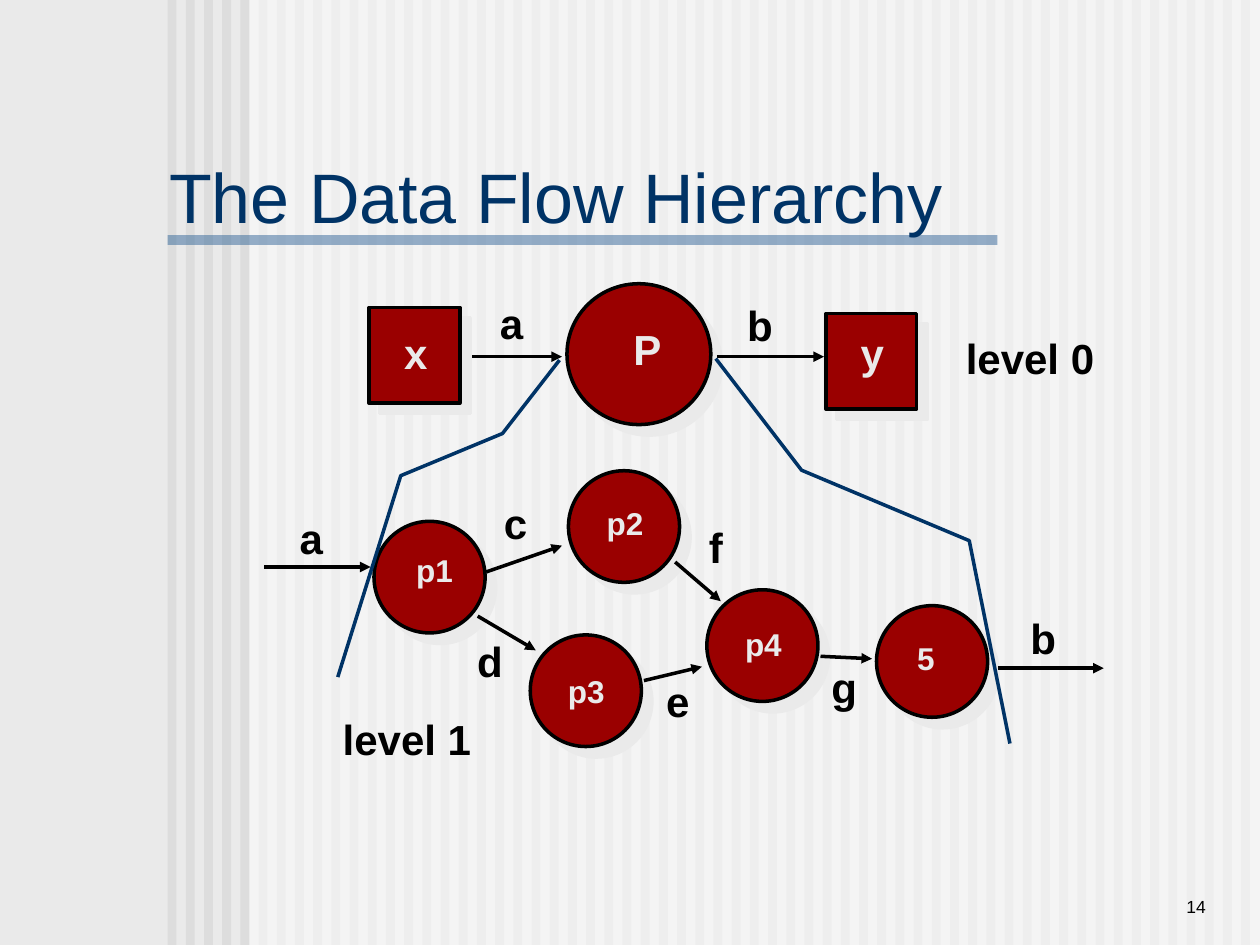
from lxml import etree
from pptx import Presentation
from pptx.dml.color import RGBColor
from pptx.enum.shapes import MSO_CONNECTOR, MSO_SHAPE
from pptx.enum.text import MSO_ANCHOR, MSO_AUTO_SIZE, PP_ALIGN
from pptx.oxml import parse_xml
from pptx.oxml.ns import qn
from pptx.util import Cm, Pt

RECTANGLE, OVAL = MSO_SHAPE.RECTANGLE, MSO_SHAPE.OVAL
STRAIGHT = MSO_CONNECTOR.STRAIGHT
TOP, MIDDLE, BOTTOM = MSO_ANCHOR.TOP, MSO_ANCHOR.MIDDLE, MSO_ANCHOR.BOTTOM
LEFT, RIGHT = PP_ALIGN.LEFT, PP_ALIGN.RIGHT
GROW, FIXED = MSO_AUTO_SIZE.SHAPE_TO_FIT_TEXT, MSO_AUTO_SIZE.NONE

BLACK, PALE, RED, NAVY = "000000", "EAEAEA", "9A0000", "003366"
LINE_WIDTH = Pt(2)
NODE_SHADOW = (
    '<a:outerShdw xmlns:a="http://schemas.openxmlformats.org/drawingml/2006/main"'
    ' dist="107950" dir="2700000" algn="ctr" rotWithShape="0">'
    f'<a:srgbClr val="{PALE}"/></a:outerShdw>'
)


def paint(fill, colour, opacity=100):
    """Make a fill of a shape, line or font solid; opacity is in percent."""
    fill.solid()
    fill.fore_color.rgb = RGBColor.from_string(colour)
    if opacity < 100:
        colour_node = fill._xPr.find(qn("a:solidFill"))[0]
        etree.SubElement(colour_node, qn("a:alpha"), val=str(opacity * 1000))


def add_text(text, left, top, width, height, size, colour, bold=True,
             wrap=False, anchor=TOP, align=LEFT):
    box = slide.shapes.add_textbox(Cm(left), Cm(top), Cm(width), Cm(height))
    frame = box.text_frame
    frame.word_wrap = wrap
    frame.auto_size = FIXED if wrap else GROW
    frame.vertical_anchor = anchor
    paragraph = frame.paragraphs[0]
    paragraph.alignment = align
    run = paragraph.add_run()
    run.text = text
    run.font.name = "Arial"
    run.font.size = Pt(size)
    run.font.bold = bold
    paint(run.font.fill, colour)
    return box


prs = Presentation()
prs.slide_width, prs.slide_height = Cm(25.4), Cm(19.05)
slide = prs.slides.add_slide(prs.slide_layouts[6])
paint(slide.background.fill, PALE)

# Striped backdrop, the veil over it and the bar under the title
stripe_count, first_stripe, last_stripe = 60, 3.38, 25.02
stripe_step = (last_stripe - first_stripe) / (stripe_count - 1)
backdrop = [(first_stripe + i * stripe_step, 0, 0.18, 19.05, "DDDDDD", 100)
            for i in range(stripe_count)]
backdrop += [(5.03, 0, 20.37, 19.05, "FFFFFF", 50),
             (3.38, 4.74, 16.73, 0.2, "336699", 50)]
for left, top, width, height, colour, opacity in backdrop:
    band = slide.shapes.add_shape(RECTANGLE, Cm(left), Cm(top), Cm(width), Cm(height))
    band.shadow.inherit = False
    band.line.fill.background()
    paint(band.fill, colour, opacity)

add_text("The Data Flow Hierarchy", 3.16, 3.16, 19.1, 1.55, 40, NAVY,
         bold=False, wrap=True, anchor=MIDDLE)

# Layers from back to front: nodes, then the data flows drawn over them
entity_size, process_size = (1.83, 1.93), (2.24, 2.25)
main_process = [(OVAL, 11.43, 5.72, (2.9, 2.84))]
main_flows = [
    (9.17, 7.19, 11.33, 7.19),
    (14.45, 7.19, 16.61, 7.19),
]
entities = [
    (RECTANGLE, 7.44, 6.2, entity_size),
    (RECTANGLE, 16.65, 6.32, entity_size),
]
subprocesses = [
    (OVAL, 7.54, 10.51, process_size),
    (OVAL, 11.46, 9.49, process_size),
    (OVAL, 10.69, 12.8, process_size),
    (OVAL, 14.25, 11.89, process_size),
    (OVAL, 17.67, 12.21, process_size),
]
subprocess_flows = [
    (5.33, 11.43, 7.47, 11.43),
    (20.12, 13.47, 22.25, 13.47),
    (9.8, 11.53, 11.33, 11),
    (9.63, 12.42, 10.8, 13.11),
    (12.98, 13.72, 14.15, 13.44),
    (13.61, 11.33, 14.53, 12.12),
    (16.54, 13.23, 17.58, 13.28),
]
layers = [(main_process, main_flows), (entities, []),
          (subprocesses, subprocess_flows)]
for nodes, flows in layers:
    for outline, left, top, (width, height) in nodes:
        node = slide.shapes.add_shape(outline, Cm(left), Cm(top), Cm(width), Cm(height))
        paint(node.fill, RED)
        paint(node.line.fill, BLACK)
        node.line.width = LINE_WIDTH
        node.shadow.inherit = False
        node._element.spPr.find(qn("a:effectLst")).append(parse_xml(NODE_SHADOW))
    for ends in flows:
        flow = slide.shapes.add_connector(STRAIGHT, *map(Cm, ends))
        paint(flow.line.fill, BLACK)
        flow.line.width = LINE_WIDTH
        etree.SubElement(flow.line._get_or_add_ln(), qn("a:tailEnd"), type="triangle")
        etree.SubElement(flow._element.spPr, qn("a:effectLst"))

# Lines that open process P out into level 1
expansions = [
    [(11.28, 7.26), (10.13, 8.74), (8.08, 9.59), (6.81, 13.65)],
    [(14.43, 7.23), (16.16, 9.48), (19.54, 10.9), (20.36, 14.99)],
]
for corners in expansions:
    start, *rest = [(Cm(x), Cm(y)) for x, y in corners]
    builder = slide.shapes.build_freeform(*start)
    builder.add_line_segments(rest, close=False)
    expansion = builder.convert_to_shape()
    expansion.shadow.inherit = False
    expansion.fill.background()
    paint(expansion.line.fill, NAVY)
    expansion.line.width = LINE_WIDTH

large_labels = [
    ("P", 12.52, 6.4, 1.07, PALE),
    ("x", 7.9, 6.48, 0.97, PALE),
    ("a", 9.83, 5.87, 0.97, BLACK),
    ("b", 14.81, 5.92, 1.02, BLACK),
    ("a", 5.79, 10.21, 0.97, BLACK),
    ("b", 20.52, 12.22, 1.02, BLACK),
    ("c", 9.91, 9.91, 0.97, BLACK),
    ("d", 9.37, 12.68, 1.02, BLACK),
    ("e", 13.18, 13.49, 0.97, BLACK),
    ("f", 14.04, 10.39, 0.79, BLACK),
    ("g", 16.51, 13.21, 1.02, BLACK),
    ("level 0", 19.22, 6.58, 3.1, BLACK),
    ("level 1", 6.66, 14.26, 3.1, BLACK),
]
for text, left, top, width, colour in large_labels:
    add_text(text, left, top, width, 1.27, 24, colour)
target_label = add_text("y", 17.1, 6.48, 0.97, 1.27, 24, PALE)
paint(target_label.fill, RED)

process_labels = [
    ("p1", 8.14, 10.99, 1.3),
    ("p2", 11.98, 10.03, 1.3),
    ("p3", 11.2, 13.43, 1.3),
    ("p4", 14.77, 12.47, 1.3),
    ("5", 18.24, 12.75, 0.86),
]
for text, left, top, width in process_labels:
    add_text(text, left, top, width, 1.02, 18, PALE)

add_text("14", 20.95, 17.35, 3.61, 1.27, 10, BLACK,
         bold=False, wrap=True, anchor=BOTTOM, align=RIGHT)

prs.save("out.pptx")
